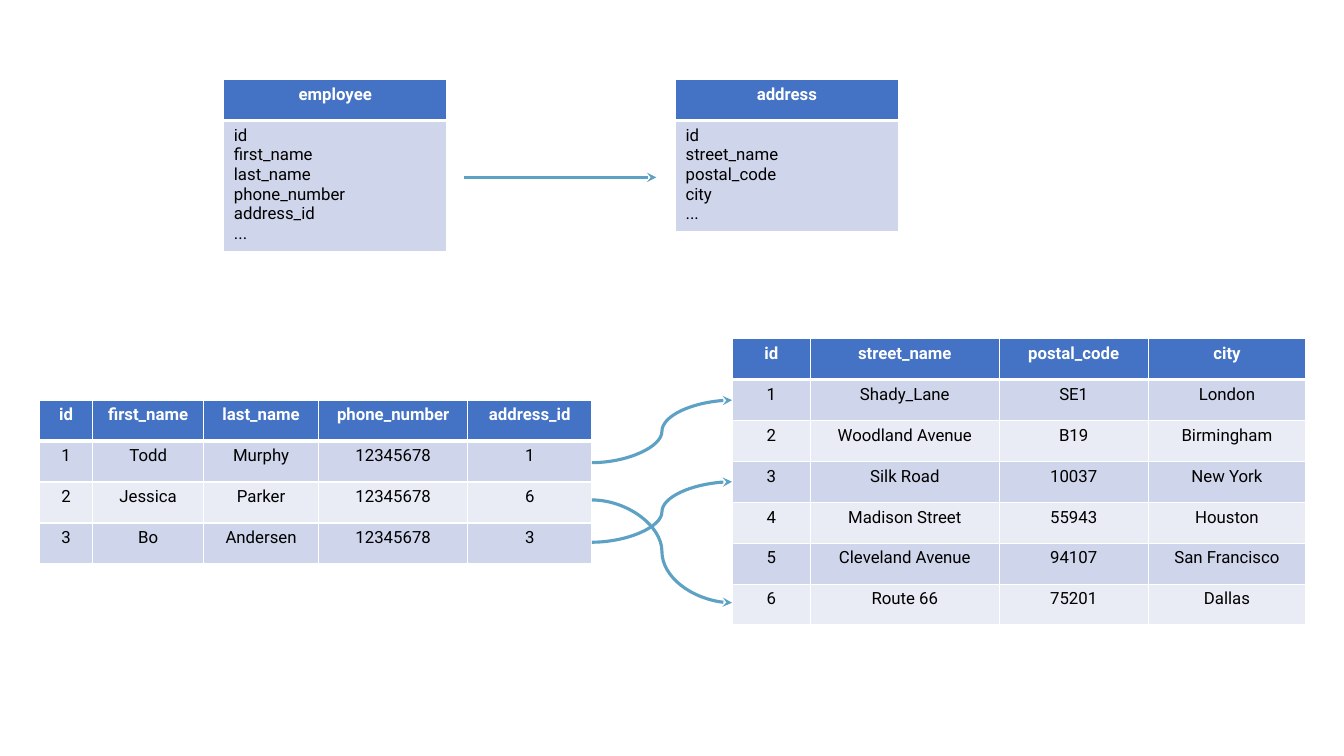
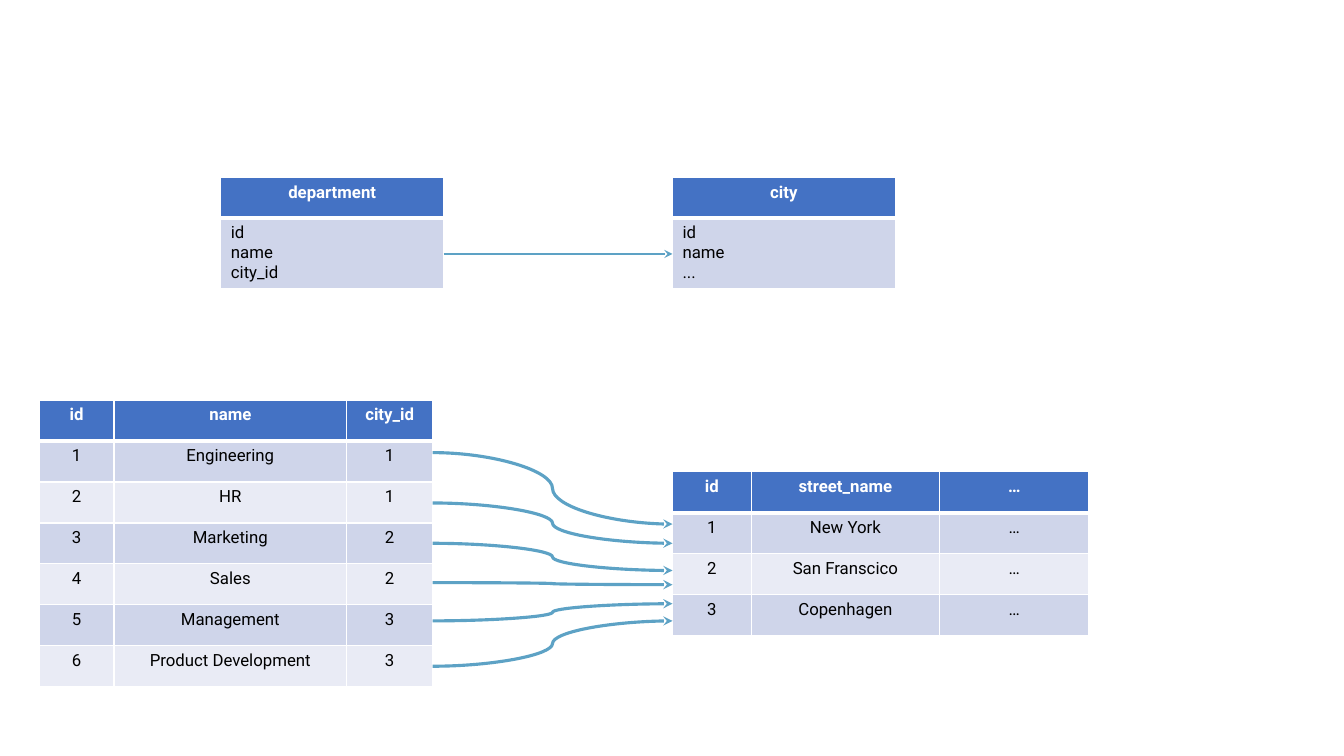
from dataclasses import dataclass

from lxml import etree
from pptx import Presentation
from pptx.dml.color import RGBColor
from pptx.enum.shapes import MSO_CONNECTOR as Connector
from pptx.enum.text import PP_ALIGN as Align
from pptx.oxml.ns import qn
from pptx.util import Inches, Pt


@dataclass(frozen=True)
class Theme:
    header: str = "4472C4"
    bands: tuple = ("CFD5EA", "E9EBF5")
    arrow: str = "5DA2C5"
    white: str = "FFFFFF"
    ink: str = "000000"
    font: str = "Roboto"
    size: float = 12
    grid: float = 1
    header_rule: float = 3


THEME = Theme()
ROW_HEIGHT = 0.406
LINE_HEIGHT = 0.2
ENTITY_PADDING = 0.1
ENTITY_WIDTH = 2.21

# Content: entity = (left, top, name, fields); record table = (left, top,
# column widths, rows); relation = (start x, end x, line width);
# links = (start x, end x, [(start y, end y)])
SLIDES = [
    {
        "entities": [
            (2.22, 0.79, "employee", ["id", "first_name", "last_name",
                                      "phone_number", "address_id", "..."]),
            (6.7, 0.79, "address", ["id", "street_name", "postal_code", "city", "..."]),
        ],
        "relation": (4.6, 6.51, 1.76, 2.25),
        "records": [
            (0.39, 3.97, [0.53, 1.1, 1.14, 1.48, 1.23], [
                ["id", "first_name", "last_name", "phone_number", "address_id"],
                ["1", "Todd", "Murphy", "12345678", "1"],
                ["2", "Jessica", "Parker", "12345678", "6"],
                ["3", "Bo", "Andersen", "12345678", "3"],
            ]),
            (7.26, 3.36, [0.78, 1.87, 1.48, 1.56], [
                ["id", "street_name", "postal_code", "city"],
                ["1", "Shady_Lane", "SE1", "London"],
                ["2", "Woodland Avenue", "B19", "Birmingham"],
                ["3", "Silk Road", "10037", "New York"],
                ["4", "Madison Street", "55943", "Houston"],
                ["5", "Cleveland Avenue", "94107", "San Francisco"],
                ["6", "Route 66", "75201", "Dallas"],
            ]),
        ],
        "links": (5.87, 7.26, [(4.59, 3.97), (4.96, 5.98), (5.38, 4.78)]),
    },
    {
        "entities": [
            (2.19, 1.76, "department", ["id", "name", "city_id"]),
            (6.67, 1.76, "city", ["id", "name", "..."]),
        ],
        "relation": (4.4, 6.67, 2.52, 1.5),
        "records": [
            (0.39, 3.97, [0.74, 2.31, 0.85], [
                ["id", "name", "city_id"],
                ["1", "Engineering", "1"],
                ["2", "HR", "1"],
                ["3", "Marketing", "2"],
                ["4", "Sales", "2"],
                ["5", "Management", "3"],
                ["6", "Product Development", "3"],
            ]),
            (6.67, 4.68, [0.78, 1.87, 1.48], [
                ["id", "street_name", "…"],
                ["1", "New York", "…"],
                ["2", "San Franscico", "…"],
                ["3", "Copenhagen", "…"],
            ]),
        ],
        "links": (4.29, 6.67, [(4.49, 5.2), (4.99, 5.39), (5.39, 5.66),
                               (5.78, 5.8), (6.16, 5.99), (6.61, 6.16)]),
    },
]


def write_text(frame, lines, *, color=THEME.ink, bold=False, align=Align.LEFT):
    for number, line in enumerate(lines):
        paragraph = frame.add_paragraph() if number else frame.paragraphs[0]
        paragraph.alignment = align
        run = paragraph.add_run()
        run.text = line
        run.font.name = THEME.font
        run.font.size = Pt(THEME.size)
        run.font.bold = bold
        run.font.color.rgb = RGBColor.from_string(color)


def set_borders(cell, **widths):
    properties = cell._tc.get_or_add_tcPr()
    for side in ("L", "R", "T", "B"):
        width = widths.get(side, THEME.grid)
        border = etree.SubElement(properties, qn(f"a:ln{side}"), w=str(Pt(width)))
        fill = etree.SubElement(border, qn("a:solidFill"))
        etree.SubElement(fill, qn("a:srgbClr"), val=THEME.white)


def add_grid(slide, left, top, widths, heights, rows, body_align):
    """Draw a table whose cells are lists of lines, with a header row on top."""
    table = slide.shapes.add_table(
        len(rows), len(widths), Inches(left), Inches(top),
        Inches(sum(widths)), Inches(sum(heights))).table
    table.horz_banding = False
    for column, width in zip(table.columns, widths):
        column.width = Inches(width)
    for row, height in zip(table.rows, heights):
        row.height = Inches(height)
    for r, row in enumerate(rows):
        for c, lines in enumerate(row):
            cell = table.cell(r, c)
            if r == 0:
                set_borders(cell, B=THEME.header_rule)
                color = THEME.header
                write_text(cell.text_frame, lines, color=THEME.white,
                           bold=True, align=Align.CENTER)
            else:
                set_borders(cell, T=THEME.header_rule if r == 1 else THEME.grid)
                color = THEME.bands[(r - 1) % 2]
                write_text(cell.text_frame, lines, align=body_align)
            cell.fill.solid()
            cell.fill.fore_color.rgb = RGBColor.from_string(color)


def add_entity(slide, left, top, name, fields):
    heights = [ROW_HEIGHT, ENTITY_PADDING + LINE_HEIGHT * len(fields)]
    add_grid(slide, left, top, [ENTITY_WIDTH], heights, [[[name]], [fields]], Align.LEFT)


def add_records(slide, left, top, widths, rows):
    cells = [[[value] for value in row] for row in rows]
    add_grid(slide, left, top, widths, [ROW_HEIGHT] * len(rows), cells, Align.CENTER)


def add_arrow(slide, kind, start, end, width=2.25):
    arrow = slide.shapes.add_connector(kind, *map(Inches, start + end))
    arrow.line.color.rgb = RGBColor.from_string(THEME.arrow)
    arrow.line.width = Pt(width)
    etree.SubElement(arrow.line._get_or_add_ln(), qn("a:tailEnd"), type="stealth")
    etree.SubElement(arrow._element.spPr, qn("a:effectLst"))


def main():
    deck = Presentation()
    deck.slide_width, deck.slide_height = Inches(13.33), Inches(7.5)
    blank = deck.slide_layouts[6]
    for content in SLIDES:
        slide = deck.slides.add_slide(blank)

        # Schema: two entities and the relation between them
        for entity in content["entities"]:
            add_entity(slide, *entity)
        left, right, y, width = content["relation"]
        add_arrow(slide, Connector.STRAIGHT, (left, y), (right, y), width)

        # Sample rows and the links from foreign keys to ids
        for records in content["records"]:
            add_records(slide, *records)
        left, right, links = content["links"]
        for start_y, end_y in links:
            add_arrow(slide, Connector.CURVE, (left, start_y), (right, end_y))
    deck.save("out.pptx")


if __name__ == "__main__":
    main()
